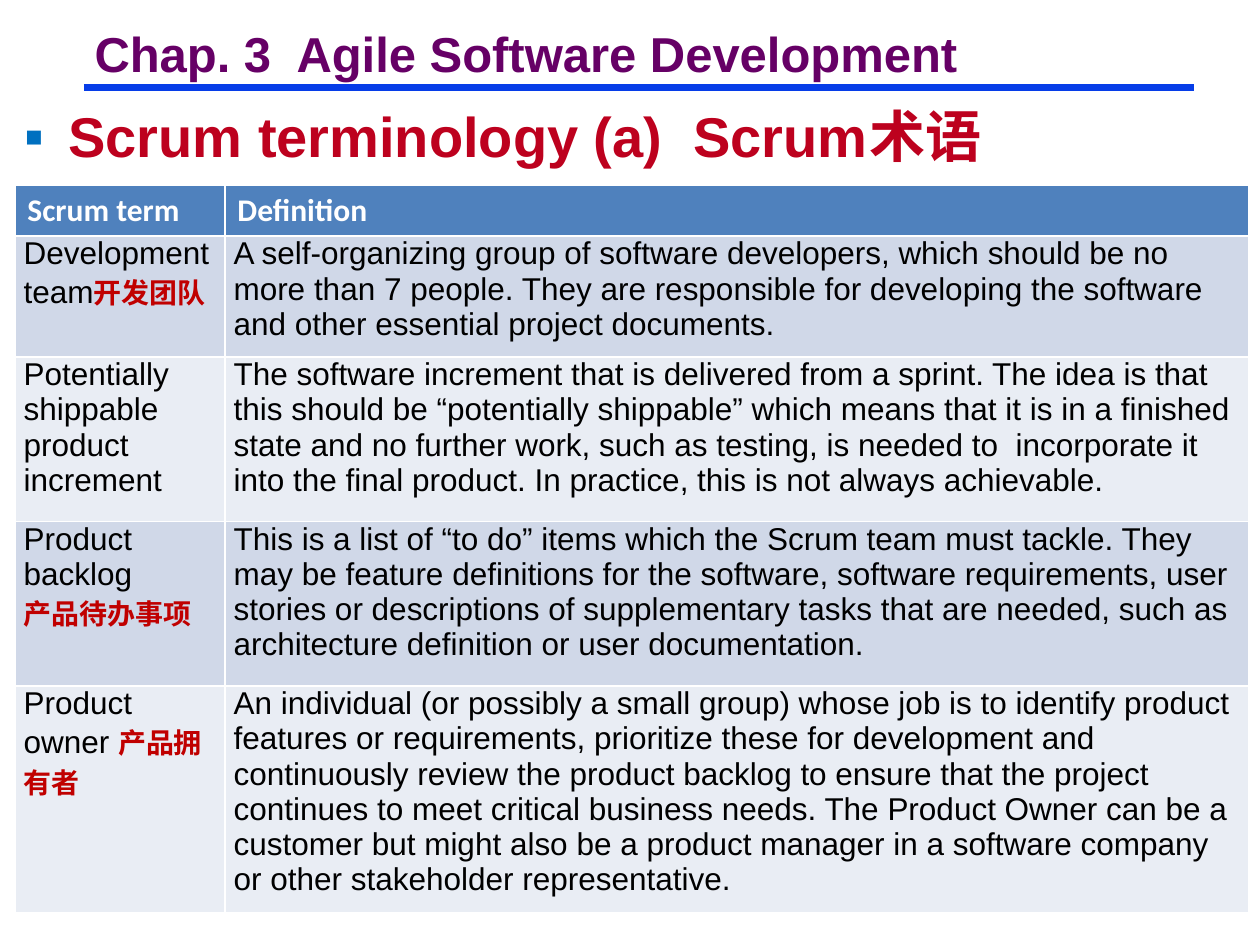
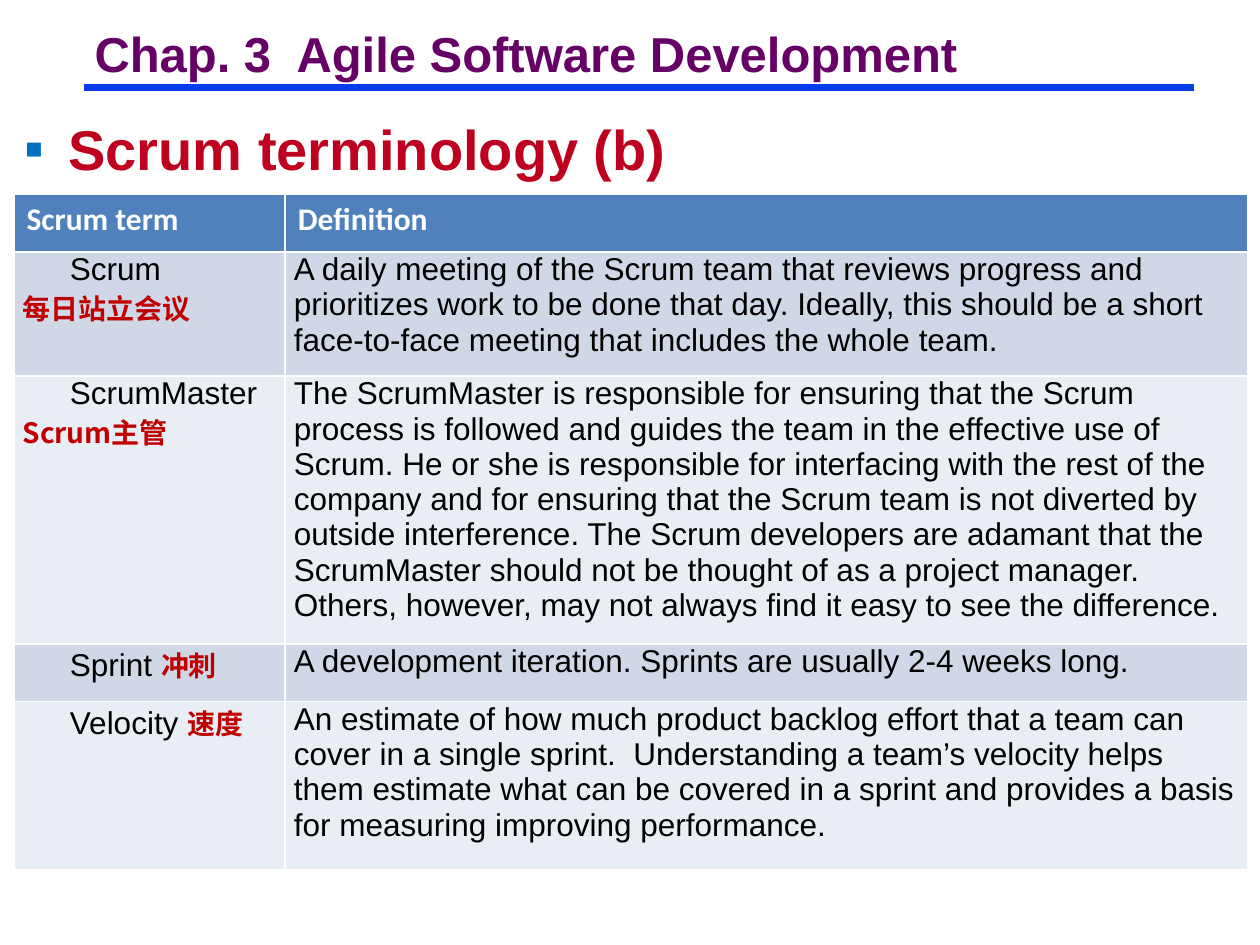
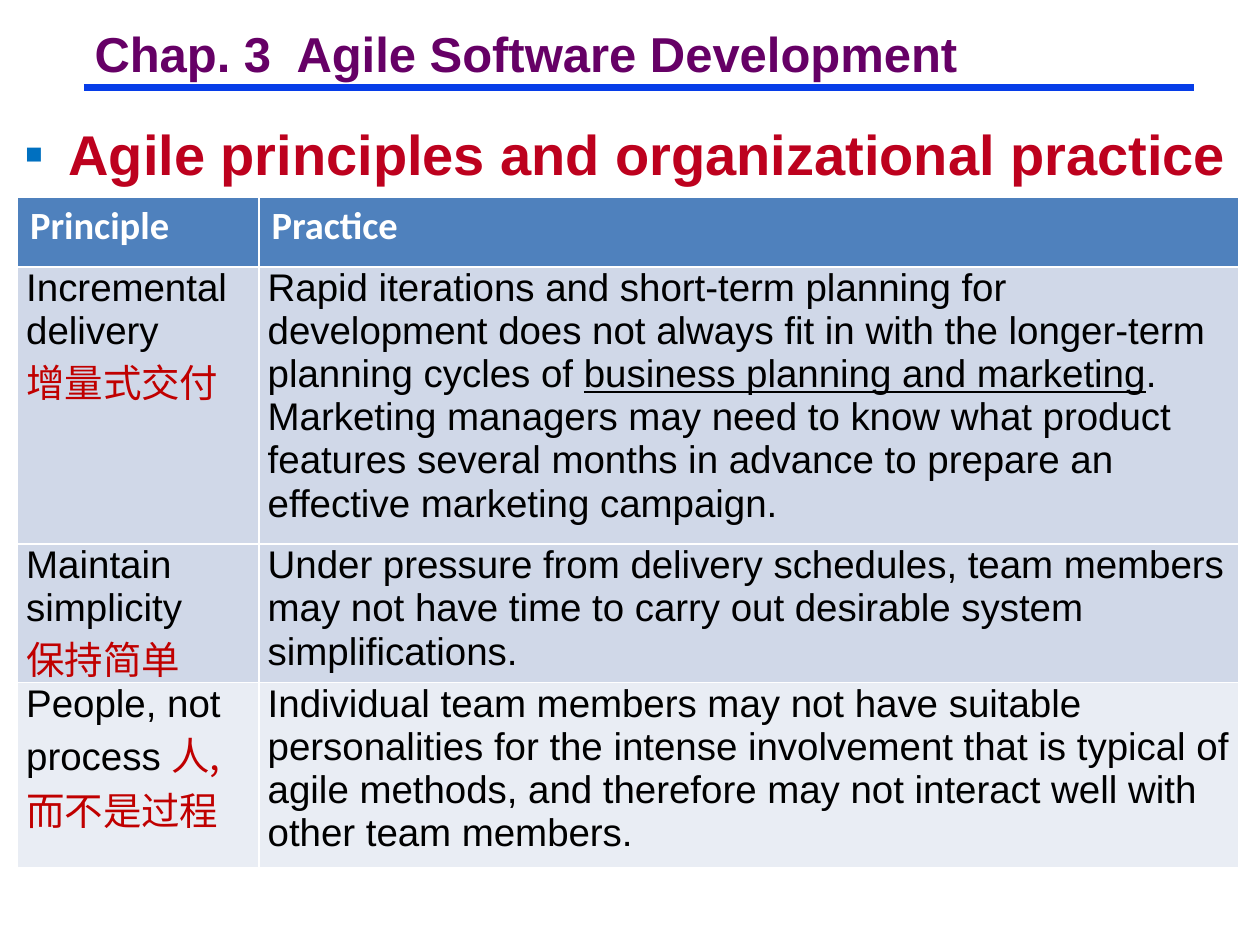
from dataclasses import dataclass

from lxml import etree
from pptx import Presentation
from pptx.dml.color import RGBColor
from pptx.enum import shapes, text
from pptx.oxml import ns
from pptx.util import Pt


@dataclass(frozen=True)
class Theme:
    title: str = "660066"
    rule: str = "063DE8"
    heading: str = "BD011E"
    bullet: str = "0070C0"
    header: str = "4F81BD"
    bands: tuple = ("D0D8E8", "E9EDF4")
    white: str = "FFFFFF"
    ink: str = "000000"
    chinese: str = "C00000"
    latin_font: str = "Arial"
    header_font: str = "Calibri"
    chinese_font: str = "Noto Sans CJK SC"
    title_size: int = 28
    heading_size: int = 32


THEME = Theme()
TITLE = "Chap. 3  Agile Software Development"

# Row: height, band, term lines as (English, Chinese), definition spans (every second one underlined)
SLIDES = [
    dict(
        heading="Scrum terminology (a)  Scrum术语", heading_box=(55, 45),
        table_at=(8.5, 106), columns=(120, 585), header_height=29,
        header=("Scrum term", "Definition"),
        size=18, chinese_size=16, chinese_bold=True, indent=0,
        rows=[
            (69, 0, [("Development team", "开发团队")],
             ["A self-organizing group of software developers, which should be no more than 7 people. "
              "They are responsible for developing the software and other essential project documents."]),
            (94, 1, [("Potentially shippable product increment", "")],
             ["The software increment that is delivered from a sprint. The idea is that this should be "
              "“potentially shippable” which means that it is in a finished state and no further work, "
              "such as testing, is needed to  incorporate it into the final product. In practice, this "
              "is not always achievable."]),
            (94, 0, [("Product backlog", ""), ("", "产品待办事项")],
             ["This is a list of “to do” items which the Scrum team must tackle. They may be feature "
              "definitions for the software, software requirements, user stories or descriptions of "
              "supplementary tasks that are needed, such as architecture definition or user "
              "documentation."]),
            (129, 1, [("Product owner ", "产品拥有者")],
             ["An individual (or possibly a small group) whose job is to identify product features or "
              "requirements, prioritize these for development and continuously review the product "
              "backlog to ensure that the project continues to meet critical business needs. The "
              "Product Owner can be a customer but might also be a product manager in a software "
              "company or other stakeholder representative."]),
        ]),
    dict(
        heading="Scrum terminology (b)", heading_box=(62, 45),
        table_at=(8, 111), columns=(155, 550), header_height=33,
        header=("Scrum term", "Definition"),
        size=18, chinese_size=16, chinese_bold=True, indent=27,
        rows=[
            (71, 0, [("Scrum", ""), ("", "每日站立会议")],
             ["A daily meeting of the Scrum team that reviews progress and prioritizes work to be done "
              "that day. Ideally, this should be a short face-to-face meeting that includes the whole "
              "team."]),
            (153, 1, [("ScrumMaster ", "Scrum主管")],
             ["The ScrumMaster is responsible for ensuring that the Scrum process is followed and guides "
              "the team in the effective use of Scrum. He or she is responsible for interfacing with "
              "the rest of the company and for ensuring that the Scrum team is not diverted by outside "
              "interference. The Scrum developers are adamant that the ScrumMaster should not be "
              "thought of as a project manager. Others, however, may not always find it easy to see "
              "the difference."]),
            (33, 0, [("Sprint ", "冲刺")],
             ["A development iteration. Sprints are usually 2-4 weeks long."]),
            (96, 1, [("Velocity ", "速度")],
             ["An estimate of how much product backlog effort that a team can cover in a single sprint.  "
              "Understanding a team’s velocity helps them estimate what can be covered in a sprint and "
              "provides a basis for measuring improving performance."]),
        ]),
    dict(
        heading="Agile principles and organizational practice", heading_box=(66, 43),
        table_at=(10, 112.5), columns=(138, 560), header_height=40,
        header=("Principle", "Practice"),
        size=22, chinese_size=22, chinese_bold=False, indent=0,
        rows=[
            (158, 0, [("Incremental delivery", ""), ("", "增量式交付")],
             ["Rapid iterations and short-term planning for development does not always fit in with the "
              "longer-term planning cycles of ",
              "business planning and marketing",
              ". Marketing managers may need to know what product features several months in advance to "
              "prepare an effective marketing campaign."]),
            (79, 0, [("Maintain simplicity", ""), ("", "保持简单")],
             ["Under pressure from delivery schedules, team members may not have time to carry out "
              "desirable system simplifications."]),
            (106, 1, [("People, not process ", "人,而不是过程")],
             ["Individual team members may not have suitable personalities for the intense involvement "
              "that is typical of agile methods, and therefore may not interact well with other team "
              "members."]),
        ]),
]


def add_span(para, words, *, size, color=THEME.ink, font=THEME.latin_font, bold=False, underline=None):
    span = para.add_run()
    span.text = words
    span.font.size = Pt(size)
    span.font.bold = bold
    span.font.underline = underline
    span.font.color.rgb = RGBColor.from_string(color)
    span.font.name = font
    etree.SubElement(span.font._element, ns.qn("a:ea"), typeface=THEME.chinese_font)


def set_indent(para, first, margin=0):
    properties = para._p.get_or_add_pPr()
    properties.set("marL", str(Pt(margin)))
    properties.set("indent", str(Pt(first)))
    return properties


def set_margins(holder, side, top):
    holder.margin_left = holder.margin_right = Pt(side)
    holder.margin_top = holder.margin_bottom = Pt(top)


def add_title(page):
    title = page.shapes.title
    title.left, title.top, title.width, title.height = Pt(49), Pt(16), Pt(505), Pt(33)
    frame = title.text_frame
    set_margins(frame, 5, 2)
    frame.word_wrap = False
    frame.vertical_anchor = text.MSO_ANCHOR.MIDDLE
    para = frame.paragraphs[0]
    para.alignment = text.PP_ALIGN.LEFT
    para.line_spacing = 0.87
    add_span(para, TITLE, size=THEME.title_size, color=THEME.title, bold=True)


def add_rule(page):
    rule = page.shapes.add_connector(shapes.MSO_CONNECTOR.STRAIGHT, Pt(48), Pt(50), Pt(682.5), Pt(50))
    rule.line.color.rgb = RGBColor.from_string(THEME.rule)
    rule.line.width = Pt(3.75)
    etree.SubElement(rule._element.spPr, ns.qn("a:effectLst"))


def add_heading(page, words, top, height):
    box = page.shapes.add_textbox(Pt(7), Pt(top), Pt(707), Pt(height))
    frame = box.text_frame
    frame.word_wrap = True
    frame.vertical_anchor = text.MSO_ANCHOR.MIDDLE
    para = frame.paragraphs[0]
    properties = set_indent(para, -25, margin=25)
    color = etree.SubElement(properties, ns.qn("a:buClr"))
    etree.SubElement(color, ns.qn("a:srgbClr"), val=THEME.bullet)
    etree.SubElement(properties, ns.qn("a:buFont"), typeface=THEME.latin_font)
    etree.SubElement(properties, ns.qn("a:buChar"), char="▪")
    add_span(para, words, size=THEME.heading_size, color=THEME.heading, bold=True)


def fill_cell(cell, color):
    cell.fill.solid()
    cell.fill.fore_color.rgb = RGBColor.from_string(color)
    cell.vertical_anchor = text.MSO_ANCHOR.TOP
    return cell.text_frame


def add_glossary(page, content):
    """Add the two-column table of terms and their definitions."""
    rows, columns, size = content["rows"], content["columns"], content["size"]
    heights = [content["header_height"]] + [row[0] for row in rows]
    left, top = content["table_at"]
    table = page.shapes.add_table(len(heights), len(columns), Pt(left), Pt(top),
                                  Pt(sum(columns)), Pt(sum(heights))).table
    for column, width in zip(table.columns, columns):
        column.width = Pt(width)
    for row, height in zip(table.rows, heights):
        row.height = Pt(height)

    for cell, words in zip(table.rows[0].cells, content["header"]):
        frame = fill_cell(cell, THEME.header)
        add_span(frame.paragraphs[0], words, size=size, color=THEME.white,
                 font=THEME.header_font, bold=True)

    for number, (_, band, term_lines, definition) in enumerate(rows, start=1):
        term_cell, definition_cell = table.rows[number].cells
        for cell in (term_cell, definition_cell):
            fill_cell(cell, THEME.bands[band])
            set_margins(cell, 5, 0)

        frame = term_cell.text_frame
        for index, (english, chinese) in enumerate(term_lines):
            para = frame.add_paragraph() if index else frame.paragraphs[0]
            set_indent(para, 0 if index else content["indent"])
            if english:
                add_span(para, english, size=size)
            if chinese:
                add_span(para, chinese, size=content["chinese_size"], color=THEME.chinese,
                         font=THEME.chinese_font, bold=content["chinese_bold"])

        para = definition_cell.text_frame.paragraphs[0]
        for index, words in enumerate(definition):
            add_span(para, words, size=size, underline=index % 2 == 1)


def main():
    deck = Presentation()
    deck.slide_width, deck.slide_height = Pt(720), Pt(540)
    title_only = deck.slide_layouts[5]
    for content in SLIDES:
        page = deck.slides.add_slide(title_only)
        add_rule(page)
        add_heading(page, content["heading"], *content["heading_box"])
        add_title(page)
        add_glossary(page, content)
    deck.save("out.pptx")


if __name__ == "__main__":
    main()
